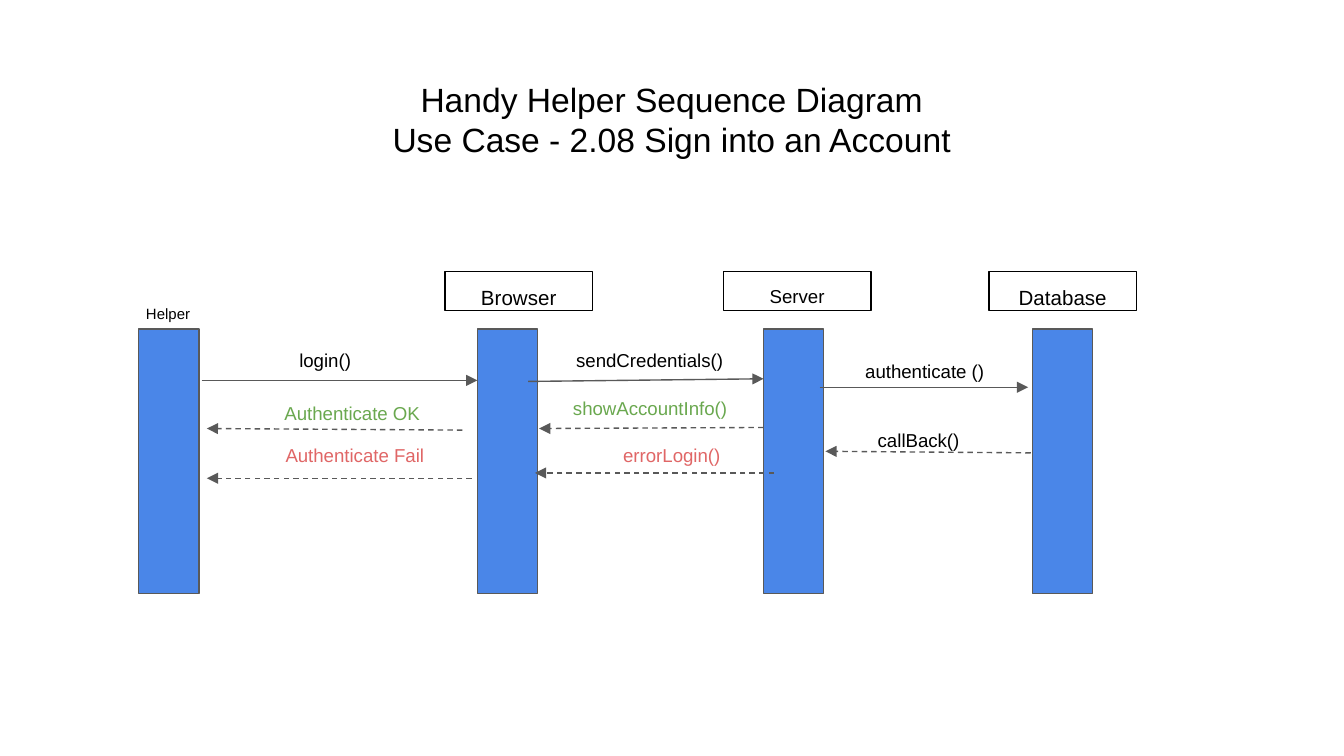
from lxml.etree import SubElement
from pptx import Presentation
from pptx.dml.color import RGBColor
from pptx.enum.dml import MSO_LINE
from pptx.enum.shapes import MSO_CONNECTOR, MSO_SHAPE
from pptx.enum.text import MSO_ANCHOR, MSO_AUTO_SIZE, PP_ALIGN
from pptx.oxml.ns import qn
from pptx.util import Cm, Pt

COLORS = {"text": "000000", "bar": "4A86E8", "line": "595959", "ok": "6AA84F", "fail": "E06666"}
LEFT, CENTER = PP_ALIGN.LEFT, PP_ALIGN.CENTER
TOP, MIDDLE = MSO_ANCHOR.TOP, MSO_ANCHOR.MIDDLE


def rgb(name):
    return RGBColor.from_string(COLORS[name])


class SequenceDiagram:
    """Draws the parts of a sequence diagram on one slide, with lengths in centimetres."""

    font = "Arial"
    line_width = Pt(0.75)
    inset = Cm(0.25)

    def __init__(self, prs):
        self.slide = prs.slides.add_slide(prs.slide_layouts[5])

    def fill_text(self, sp, lines, size, color="text", align=CENTER, anchor=TOP):
        tf = sp.text_frame
        frame = {"word_wrap": True, "auto_size": MSO_AUTO_SIZE.NONE, "vertical_anchor": anchor}
        frame.update({f"margin_{side}": self.inset for side in ("left", "top", "right", "bottom")})
        for key, value in frame.items():
            setattr(tf, key, value)
        for i, line in enumerate(lines):
            p = tf.add_paragraph() if i else tf.paragraphs[0]
            p.alignment = align
            r = p.add_run()
            r.text = line
            for key, value in {"name": self.font, "size": Pt(size), "bold": False}.items():
                setattr(r.font, key, value)
            r.font.color.rgb = rgb(color)

    def title(self, lines, x, y, w, h, size):
        sp = self.slide.shapes.title
        for key, value in {"left": x, "top": y, "width": w, "height": h}.items():
            setattr(sp, key, Cm(value))
        self.fill_text(sp, lines, size)

    def rectangle(self, x, y, w, h, line, fill=None):
        sp = self.slide.shapes.add_shape(MSO_SHAPE.RECTANGLE, Cm(x), Cm(y), Cm(w), Cm(h))
        sp.shadow.inherit = False
        if fill:
            sp.fill.solid()
            sp.fill.fore_color.rgb = rgb(fill)
        else:
            sp.fill.background()
        sp.line.color.rgb = rgb(line)
        sp.line.width = self.line_width
        return sp

    def lifeline(self, x):
        self.rectangle(x, 6.22, 1.14, 5, "line", "bar")

    def header(self, text, x, size):
        self.fill_text(self.rectangle(x, 5.13, 2.79, 0.74, "text"), [text], size)

    def label(self, text, x, y, w, h=0.56, size=10, color="text", align=CENTER, anchor=MIDDLE):
        sp = self.slide.shapes.add_textbox(Cm(x), Cm(y), Cm(w), Cm(h))
        self.fill_text(sp, [text], size, color, align, anchor)

    def arrow(self, x1, y1, x2, y2):
        c = self.slide.shapes.add_connector(MSO_CONNECTOR.STRAIGHT, Cm(x1), Cm(y1), Cm(x2), Cm(y2))
        c.line.color.rgb = rgb("line")
        c.line.width = self.line_width
        if x2 < x1:
            c.line.dash_style = MSO_LINE.DASH
        props = c._element.spPr
        SubElement(props.find(qn("a:ln")), qn("a:tailEnd"), type="triangle", w="med", len="med")
        SubElement(props, qn("a:effectLst"))


LIFELINES = [2.62, 9.02, 14.43, 19.51]
HEADERS = [("Browser", 8.41, 11), ("Server", 13.67, 10), ("Database", 18.69, 11)]
MESSAGES = [
    ("login()", (4.39, 6.53, 3.51), {}, (3.81, 7.19, 9.02, 7.19)),
    ("sendCredentials()", (10.64, 6.53, 4.62), {"align": LEFT}, (9.98, 7.21, 14.43, 7.16)),
    ("authenticate ()", (15.29, 6.73, 4.37), {}, (15.49, 7.32, 19.43, 7.32)),
    ("callBack()", (15.85, 8.03, 3.02), {}, (19.48, 8.56, 15.6, 8.53)),
    ("showAccountInfo()", (10.34, 7.52, 3.89, 0.38), {"color": "ok"}, (14.43, 8.08, 10.19, 8.1)),
    ("errorLogin()", (10.46, 8.33, 4.47), {"color": "fail"}, (14.63, 8.94, 10.11, 8.94)),
    ("Authenticate OK", (4.42, 7.52, 4.47), {"color": "ok"}, (8.74, 8.13, 3.91, 8.1)),
    ("Authenticate Fail", (4.47, 8.33, 4.47), {"color": "fail"}, (8.92, 9.04, 3.91, 9.04)),
]


def main():
    prs = Presentation()
    prs.slide_width, prs.slide_height = Cm(25.4), Cm(14.29)
    s = SequenceDiagram(prs)
    s.title(["Handy Helper Sequence Diagram", "Use Case - 2.08 Sign into an Account"],
            0.86, 1.24, 23.67, 1.6, 18)
    for x in LIFELINES:
        s.lifeline(x)
    s.label("Helper", 2.51, 5.51, 1.37, size=8, align=LEFT, anchor=TOP)
    for text, box, style, ends in MESSAGES:
        s.arrow(*ends)
        s.label(text, *box, **style)
    for header in HEADERS:
        s.header(*header)
    prs.save("out.pptx")


if __name__ == "__main__":
    main()
